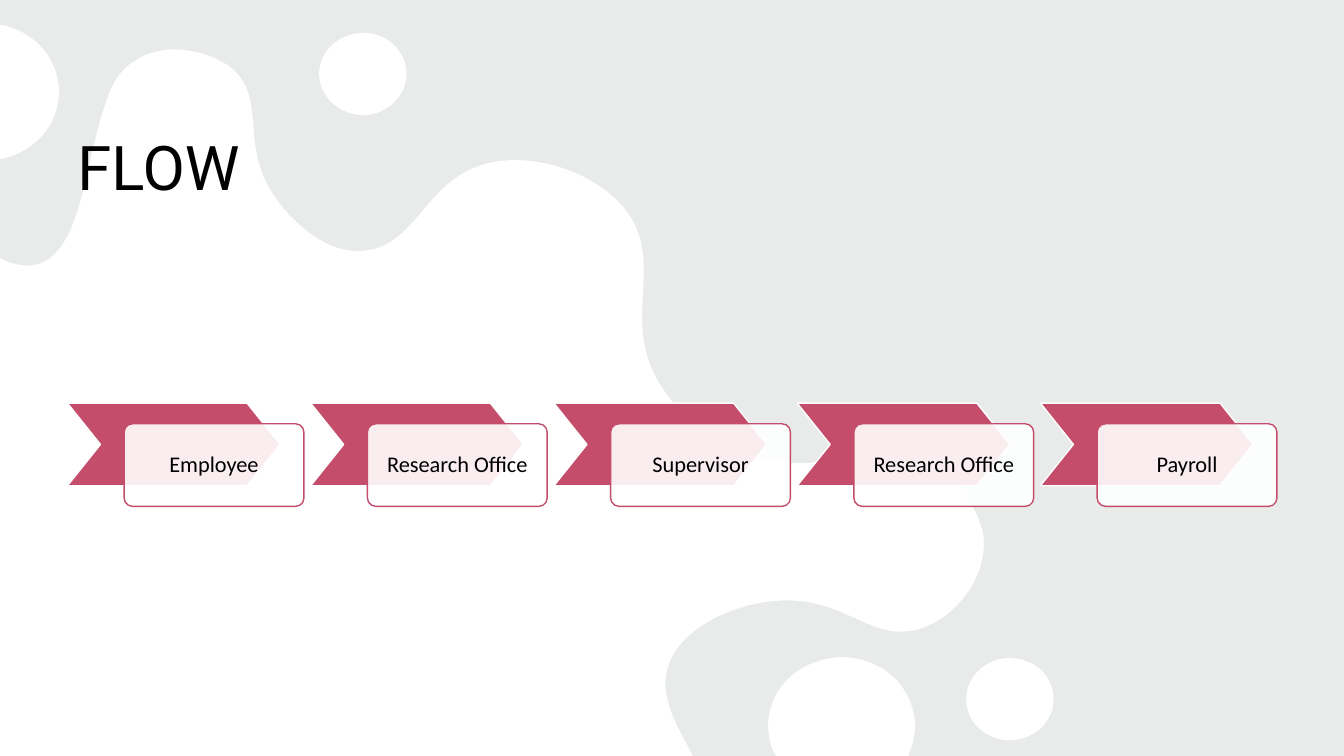
from lxml.etree import SubElement
from pptx import Presentation
from pptx.dml.color import RGBColor
from pptx.enum.shapes import MSO_SHAPE as Preset
from pptx.enum.text import MSO_ANCHOR as Anchor, PP_ALIGN as Align
from pptx.oxml.ns import qn
from pptx.util import Cm, Pt


def paint(shape, fill, opacity=100, line=None):
    shape.shadow.inherit = False
    shape.fill.solid()
    shape.fill.fore_color.rgb = RGBColor.from_string(fill)
    if opacity < 100:
        color = shape.fill._xPr.find(qn("a:solidFill"))[0]
        SubElement(color, qn("a:alpha"), val=str(opacity * 1000))
    if line:
        shape.line.color.rgb = RGBColor.from_string(line)
        shape.line.width = Pt(1)
    else:
        shape.line.fill.background()


def write(shape, text, font, size, anchor, align):
    frame = shape.text_frame
    frame.word_wrap = True
    frame.vertical_anchor = anchor
    paragraph = frame.paragraphs[0]
    paragraph.alignment = align
    paragraph.line_spacing = 0.9
    run = paragraph.add_run()
    run.text = text
    run.font.name = font
    run.font.size = Pt(size)
    run.font.color.rgb = RGBColor.from_string("000000")


presentation = Presentation()
presentation.slide_width = Cm(33.87)
presentation.slide_height = Cm(19.05)
slide = presentation.slides.add_slide(presentation.slide_layouts[6])
slide.background.fill.solid()
slide.background.fill.fore_color.rgb = RGBColor.from_string("F0F3F3")

veil = slide.shapes.add_shape(
    Preset.RECTANGLE, 0, 0, presentation.slide_width, presentation.slide_height)
paint(veil, "AEAEAE", 10)

# Hundredths of an inch: pairs are corners, sextets are Bézier curves.
UNIT = 0.0254
right_drop = [
    (997, 653), (1012, 652, 1027, 657, 1036, 668), (1041, 674, 1044, 681, 1045, 689),
    (1048, 711, 1031, 731, 1007, 734), (984, 737, 962, 721, 959, 699),
    (956, 676, 973, 656, 997, 653),
]
bottom_drop = [
    (835, 652), (858, 652, 880, 662, 894, 680), (898, 686, 902, 692, 904, 699),
    (909, 712, 909, 726, 905, 739), (901, 750), (770, 750), (766, 742),
    (753, 706, 774, 667, 812, 656), (820, 653, 827, 652, 835, 652),
]
splash = [
    (170, 49), (191, 49, 213, 55, 229, 67), (267, 98, 235, 147, 276, 200),
    (281, 207, 316, 252, 359, 249), (415, 245, 420, 178, 484, 162),
    (529, 151, 588, 170, 618, 205), (665, 260, 610, 320, 660, 389),
    (694, 438, 753, 454, 758, 455), (827, 473, 866, 429, 918, 459),
    (928, 465, 963, 486, 973, 521), (975, 526, 976, 531, 976, 536),
    (978, 574, 948, 613, 912, 624), (863, 638, 839, 591, 771, 596),
    (736, 598, 684, 617, 666, 653), (651, 684, 668, 714, 685, 745),
    (687, 750), (0, 750), (0, 256), (8, 260),
    (19, 263, 29, 265, 38, 262), (67, 253, 78, 209, 85, 178),
    (104, 97, 110, 74, 136, 59), (145, 53, 157, 50, 170, 49),
]
top_drop = [
    (355, 33), (370, 31, 385, 37, 394, 48), (399, 54, 402, 61, 403, 68),
    (406, 90, 389, 111, 365, 114), (341, 116, 320, 100, 317, 78),
    (314, 56, 331, 36, 355, 33),
]
left_drop = [
    (0, 25), (4, 25), (7, 26), (22, 30, 35, 39, 44, 50),
    (49, 56, 52, 63, 55, 70), (67, 106, 47, 144, 8, 156), (0, 158),
]
outlines = [right_drop, bottom_drop, splash, top_drop, left_drop]

builder = None
for outline in outlines:
    points = [(Cm(segment[i] * UNIT), Cm(segment[i + 1] * UNIT))
              for segment in outline for i in range(0, len(segment), 2)]
    if builder is None:
        builder = slide.shapes.build_freeform(*points[0])
    else:
        builder.move_to(*points[0])
    builder.add_line_segments(points[1:], close=False)
    builder._add_close()
blob = builder.convert_to_shape()
paint(blob, "FFFFFF")

lines = iter(list(blob._element.iter(qn("a:lnTo"))))
for outline in outlines:
    for segment in outline[1:]:
        first = next(lines)
        if len(segment) == 6:
            first.tag = qn("a:cubicBezTo")
            for line in (next(lines), next(lines)):
                line.getparent().remove(line)
                first.append(line[0])

title = slide.shapes.add_textbox(Cm(1.7), Cm(1.57), Cm(30.48), Cm(3.68))
write(title, "FLOW", "Roboto", 44, Anchor.BOTTOM, Align.LEFT)

flow = slide.shapes.add_group_shape()
stages = ["Employee", "Research Office", "Supervisor", "Research Office", "Payroll"]
for index, stage in enumerate(stages):
    left = 1.7 + index * 6.13
    chevron = flow.shapes.add_shape(
        Preset.CHEVRON, Cm(left), Cm(10.16), Cm(5.36), Cm(2.08))
    chevron.adjustments[0] = 0.4
    paint(chevron, "C34D6A", line="FFFFFF")

    card = flow.shapes.add_shape(
        Preset.ROUNDED_RECTANGLE, Cm(left + 1.43), Cm(10.68), Cm(4.53), Cm(2.08))
    card.adjustments[0] = 0.1
    paint(card, "FFFFFF", 90, "C34D6A")

    label = flow.shapes.add_textbox(Cm(left + 1.49), Cm(10.74), Cm(4.41), Cm(1.96))
    write(label, stage, "Calibri", 16, Anchor.MIDDLE, Align.CENTER)
    frame = label.text_frame
    frame.margin_left = frame.margin_right = Cm(0.3)
    frame.margin_top = frame.margin_bottom = Cm(0.3)

presentation.save("out.pptx")
